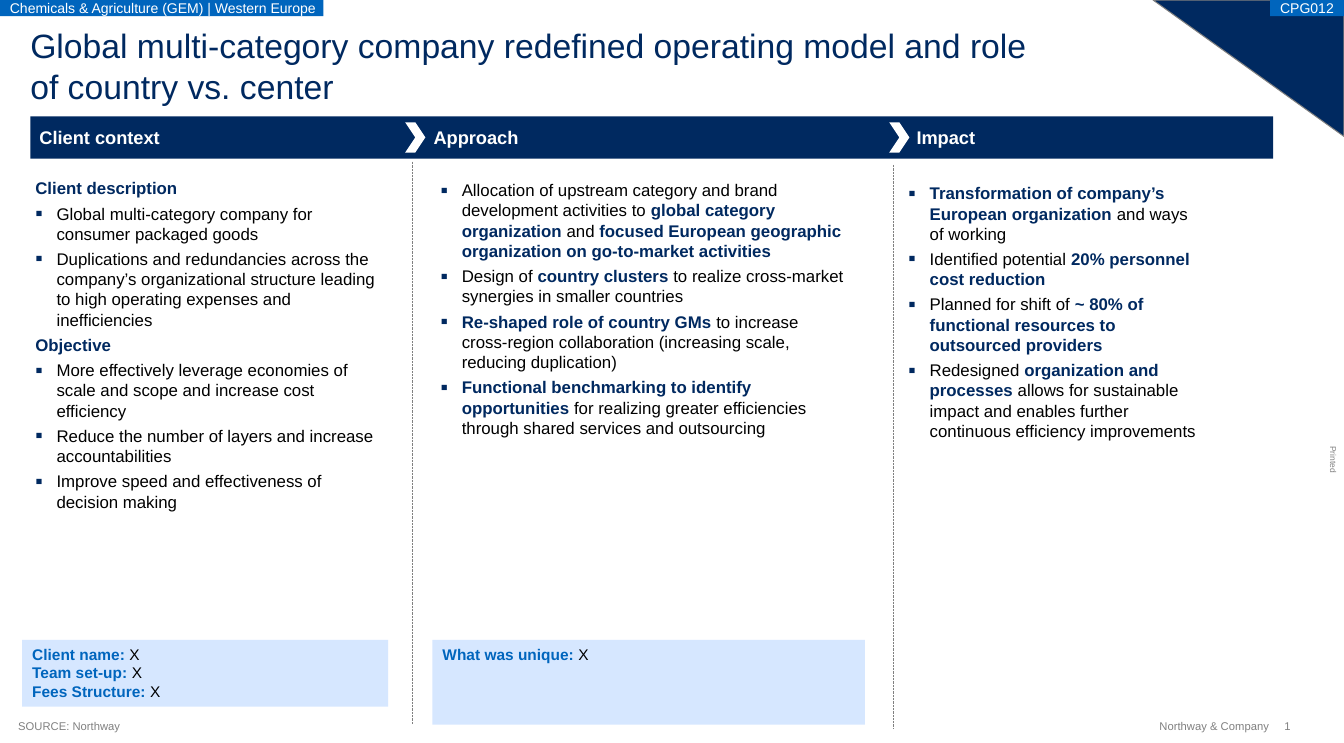
"""Build a one-slide case summary: client context, approach and impact."""
from dataclasses import dataclass

from lxml.etree import SubElement
from pptx import Presentation
from pptx.dml.color import RGBColor
from pptx.enum.dml import MSO_LINE
from pptx.enum.shapes import MSO_CONNECTOR, MSO_SHAPE
from pptx.enum.text import MSO_ANCHOR, PP_ALIGN
from pptx.oxml.ns import qn
from pptx.util import Inches, Pt


@dataclass(frozen=True)
class Theme:
    """Colours, type sizes and font of the slide."""
    navy: str = "002960"
    blue: str = "0065BD"
    pale: str = "D6E7FF"
    grey: str = "808080"
    black: str = "000000"
    white: str = "FFFFFF"
    font: str = "Arial"
    title: float = 24
    heading: float = 13
    body: float = 12
    box: float = 11
    tag: float = 10
    note: float = 8
    tiny: float = 6


T = Theme()
BAR_TOP, BAR_HEIGHT = 1.15, 0.42
BOX_TOP = 6.33

HEADINGS = [("Client context", 0.39, 2.91), ("Approach", 4.29, 3.49), ("Impact", 9.07, 3.17)]
CHEVRON_LEFTS = [4.01, 8.8]
DIVIDERS = [(4.08, 1.6, 7.17), (8.84, 1.63, 7.21)]

CONTEXT = [
    "**Client description**",
    "Global multi-category company for consumer packaged goods",
    "Duplications and redundancies across the company’s organizational structure "
    "leading to high operating expenses and inefficiencies",
    "**Objective**",
    "More effectively leverage economies of scale and scope and increase cost efficiency",
    "Reduce the number of layers and increase accountabilities",
    "Improve speed and effectiveness of decision making",
]
APPROACH = [
    "Allocation of upstream category and brand development activities to "
    "**global category organization **and **focused European geographic "
    "organization on go-to-market activities**",
    "Design of **country clusters** to realize cross-market synergies in smaller countries",
    "**Re-shaped role of country GMs **to increase cross-region collaboration "
    "(increasing scale, reducing duplication)",
    "**Functional benchmarking to identify opportunities **for realizing greater "
    "efficiencies through shared services and outsourcing",
]
IMPACT = [
    "**Transformation of company’s European organization **and ways of working",
    "Identified potential **20% personnel cost reduction**",
    "Planned for shift of **~ 80% of functional resources to outsourced providers**",
    "Redesigned **organization and processes **allows for sustainable impact and "
    "enables further continuous efficiency improvements",
]
COLUMNS = [(CONTEXT, 0.35, 1.76, 3.4, 3.39), (APPROACH, 4.36, 1.78, 4.02, 2.61),
           (IMPACT, 8.99, 1.81, 2.92, 2.61)]
BOXES = [
    (["**Client name: **X", "**Team set-up: **X", "**Fees Structure: **X"], 0.22, 3.62, 0.66),
    (["**What was unique: **X"], 4.28, 4.28, 0.84),
]
TAGS = [("Chemicals & Agriculture (GEM) | Western Europe", 0, 3.2), ("CPG012", 12.57, 0.73)]


def rgb(color):
    """Return a colour object for a hex string."""
    return RGBColor.from_string(color)


def apply(target, values):
    """Set each attribute named in a dict."""
    for name, value in values.items():
        setattr(target, name, value)


def write(p, text, size, color, strong=None, bold=False):
    """Fill a paragraph; parts between double asterisks are bold in the strong colour."""
    for i, part in enumerate(text.split("**")):
        marked = i % 2 == 1
        for j, line in enumerate(part.split("\n")):
            if j:
                p.add_line_break()
            if line:
                r = p.add_run()
                r.text = line
                apply(r.font, {"name": T.font, "size": Pt(size), "bold": bold or marked})
                r.font.color.rgb = rgb(strong if marked else color)


def set_frame(s, anchor=MSO_ANCHOR.TOP, inset=0, wrap=True):
    """Lay out the text frame of a shape and return it."""
    tf = s.text_frame
    apply(tf, {"word_wrap": wrap, "vertical_anchor": anchor,
               "margin_left": Inches(inset), "margin_right": Inches(inset),
               "margin_top": Inches(inset / 2), "margin_bottom": Inches(inset / 2)})
    return tf


def add_label(slide, text, box, size, color, bold=False, align=PP_ALIGN.LEFT,
              anchor=MSO_ANCHOR.TOP, wrap=True):
    """Add a text box holding one paragraph and return it."""
    s = slide.shapes.add_textbox(*map(Inches, box))
    p = set_frame(s, anchor, wrap=wrap).paragraphs[0]
    p.alignment = align
    write(p, text, size, color, bold=bold)
    return s


def add_block(slide, kind, box, fill, line=None):
    """Add a filled preset shape and return it."""
    s = slide.shapes.add_shape(kind, *map(Inches, box))
    s.shadow.inherit = False
    s.fill.solid()
    s.fill.fore_color.rgb = rgb(fill)
    if line:
        s.line.color.rgb = rgb(line)
        s.line.width = Pt(0.75)
    else:
        s.line.fill.background()
    return s


def add_bullet(p):
    """Give a paragraph a hanging square bullet."""
    pPr = p._p.get_or_add_pPr()
    pPr.set("marL", str(Inches(0.21)))
    pPr.set("indent", str(-Inches(0.21)))
    SubElement(SubElement(pPr, qn("a:buClr")), qn("a:srgbClr"), val=T.navy)
    SubElement(pPr, qn("a:buSzPct"), val="125000")
    SubElement(pPr, qn("a:buFont"), typeface=T.font)
    SubElement(pPr, qn("a:buChar"), char="▪")


def add_column(slide, items, *box):
    """Add a column of bullets, with fully bold items as subheadings."""
    s = slide.shapes.add_textbox(*map(Inches, box))
    tf = set_frame(s)
    for i, item in enumerate(items):
        p = tf.add_paragraph() if i else tf.paragraphs[0]
        if item not in ("**Client description**", "**Objective**"):
            add_bullet(p)
        if i:
            p.space_before = Pt(T.body * 0.3)
        write(p, item, T.body, T.black, T.navy)


def add_box(slide, lines, left, width, height):
    """Add a pale box of labelled facts."""
    s = add_block(slide, MSO_SHAPE.RECTANGLE, (left, BOX_TOP, width, height), T.pale)
    tf = set_frame(s, inset=0.1)
    for i, line in enumerate(lines):
        p = tf.add_paragraph() if i else tf.paragraphs[0]
        p.alignment = PP_ALIGN.LEFT
        write(p, line, T.box, T.black, T.blue)


def add_tag(slide, text, left, width):
    """Add a blue tag at the top edge."""
    s = add_block(slide, MSO_SHAPE.RECTANGLE, (left, 0, width, 0.16), T.blue)
    p = set_frame(s, MSO_ANCHOR.MIDDLE, 0.1, wrap=False).paragraphs[0]
    p.alignment = PP_ALIGN.LEFT
    write(p, text, T.tag, T.white)


def add_divider(slide, x, top, bottom):
    """Add a dotted vertical line."""
    s = slide.shapes.add_connector(MSO_CONNECTOR.STRAIGHT, *map(Inches, (x, top, x, bottom)))
    apply(s.line, {"width": Pt(0.5), "dash_style": MSO_LINE.ROUND_DOT})
    s.line.color.rgb = rgb(T.grey)
    SubElement(s._element.spPr, qn("a:effectLst"))


def add_margins(slide):
    """Add the corner triangle, the print mark and the footer."""
    add_block(slide, MSO_SHAPE.RIGHT_TRIANGLE, (11.41, 0, 1.89, 1.35), T.navy, T.grey).rotation = 180
    add_label(slide, "Printed", (13.06, 4.5, 0.27, 0.1), T.tiny, T.grey, wrap=False).rotation = 90
    footer = {"size": T.note, "color": T.grey, "anchor": MSO_ANCHOR.MIDDLE}
    add_label(slide, "SOURCE: Northway", (0.18, 7.12, 7.87, 0.13), **footer)
    add_label(slide, "Northway & Company", (11.43, 7.12, 1.13, 0.13), align=PP_ALIGN.RIGHT, **footer)
    add_label(slide, "1", (12.71, 7.12, 0.14, 0.13), **footer)


def main():
    """Build and save the slide."""
    prs = Presentation()
    apply(prs, {"slide_width": Inches(13.3), "slide_height": Inches(7.35)})
    slide = prs.slides.add_slide(prs.slide_layouts[6])
    add_margins(slide)
    add_label(slide, "Global multi-category company redefined operating model and role\n"
              "of country vs. center", (0.3, 0.25, 10.38, 0.81), T.title, T.navy)
    for column in COLUMNS:
        add_column(slide, *column)
    for tag in TAGS:
        add_tag(slide, *tag)
    add_block(slide, MSO_SHAPE.RECTANGLE, (0.3, BAR_TOP, 12.3, BAR_HEIGHT), T.navy)
    for text, left, width in HEADINGS:
        add_label(slide, text, (left, BAR_TOP + 0.09, width, 0.24), T.heading, T.white,
                  bold=True, anchor=MSO_ANCHOR.MIDDLE)
    for left in CHEVRON_LEFTS:
        add_block(slide, MSO_SHAPE.CHEVRON, (left, BAR_TOP + 0.06, 0.2, 0.3), T.white)
    for divider in DIVIDERS:
        add_divider(slide, *divider)
    for box in BOXES:
        add_box(slide, *box)
    prs.save("out.pptx")


if __name__ == "__main__":
    main()
